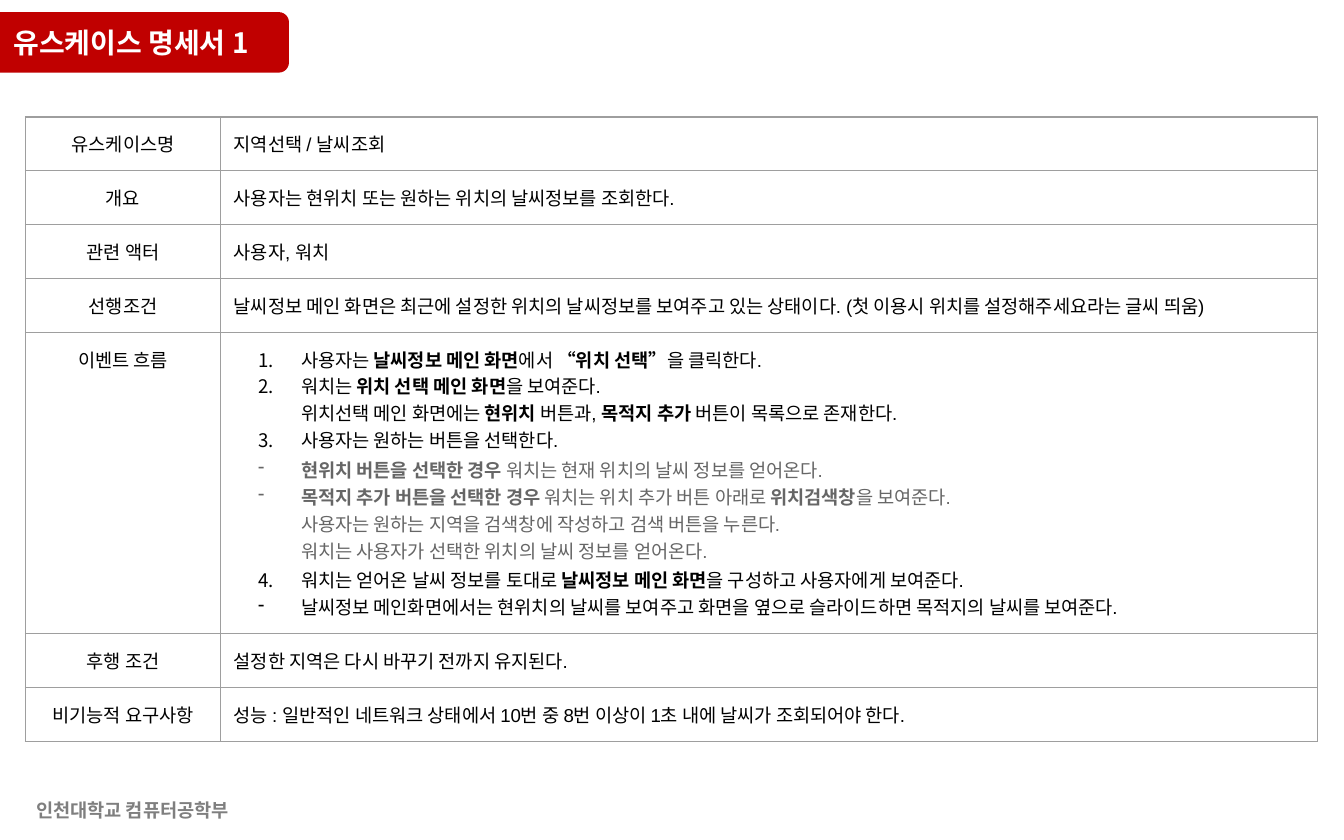
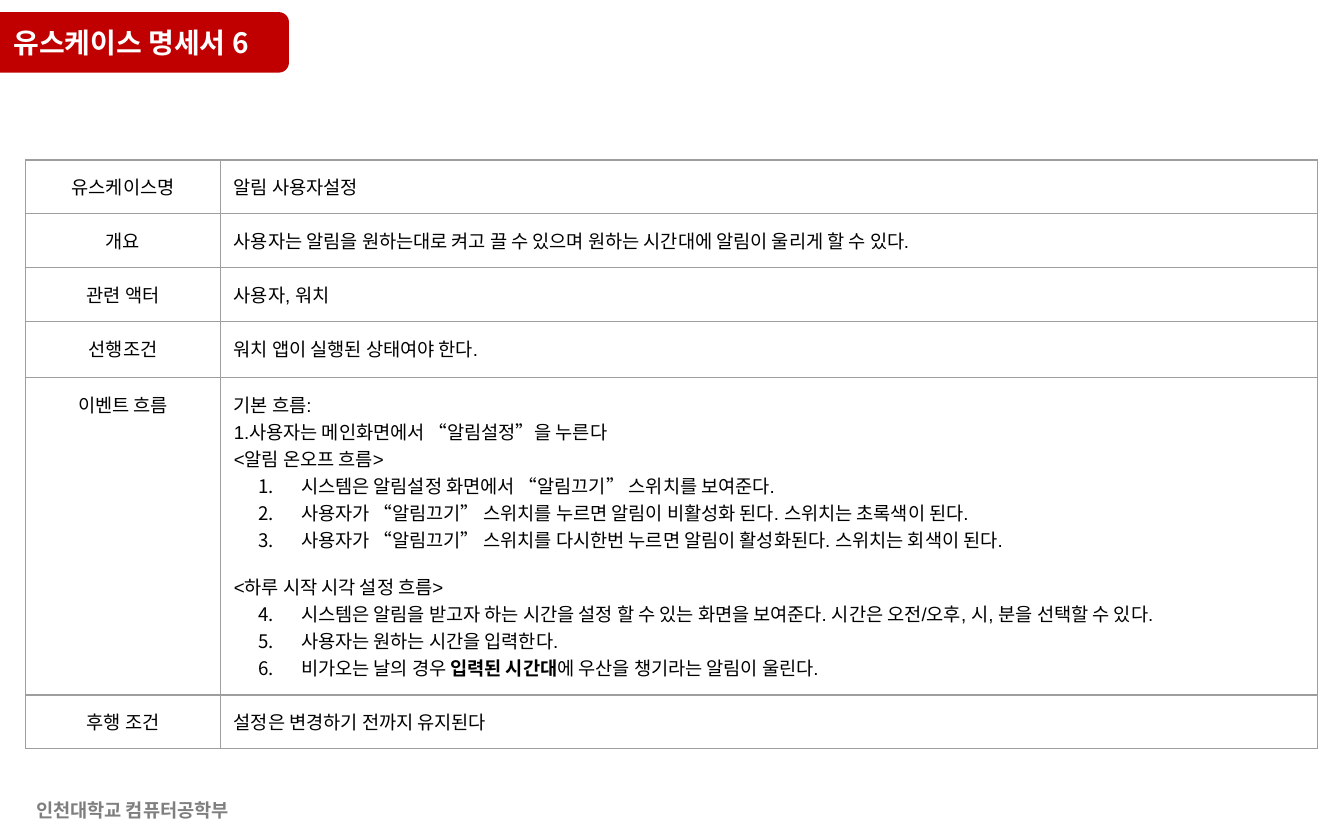
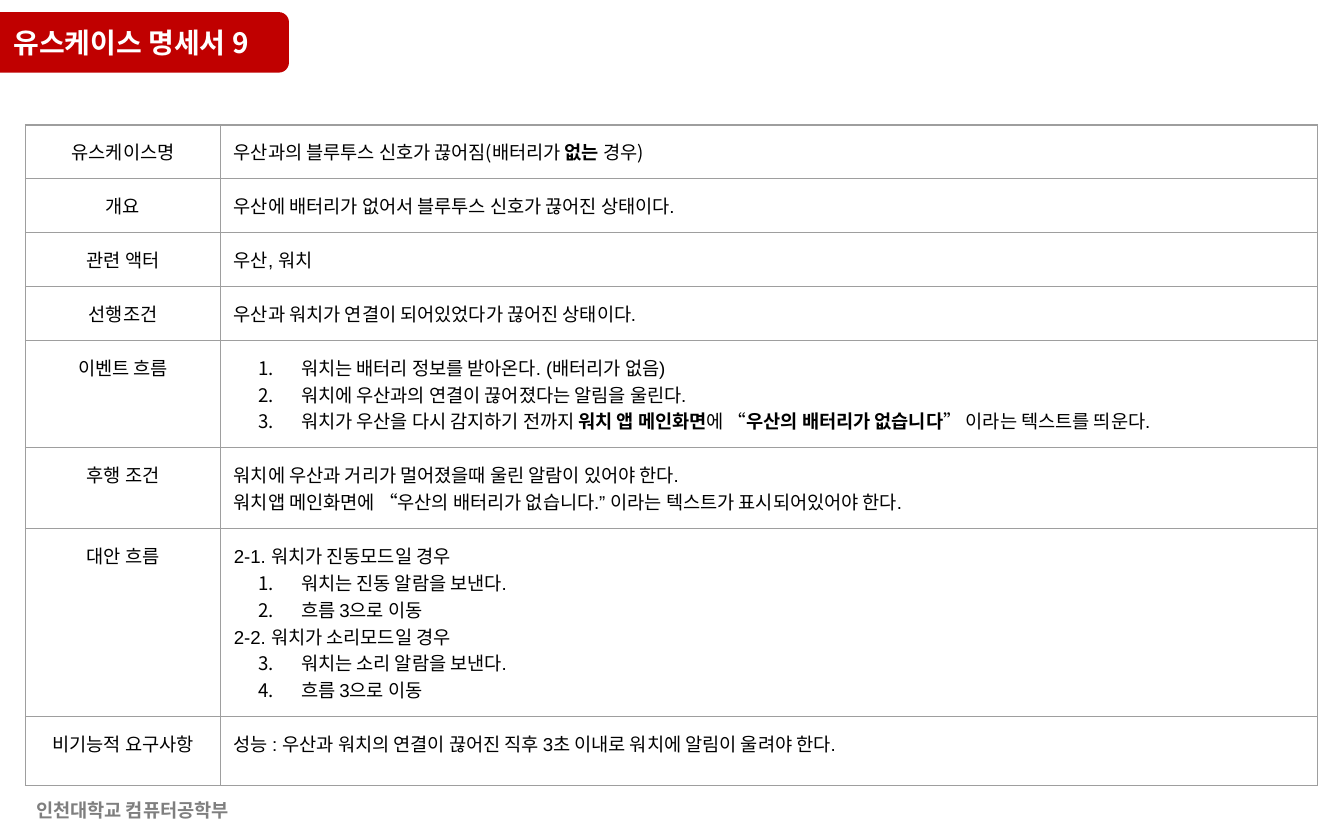
import dataclasses

import pptx
import pptx.dml.color
import pptx.enum.shapes
import pptx.enum.text
import pptx.oxml
import pptx.oxml.ns
import pptx.util

Inches = pptx.util.Inches
Pt = pptx.util.Pt
ALIGN = pptx.enum.text.PP_ALIGN
MIDDLE = pptx.enum.text.MSO_ANCHOR.MIDDLE
NS = pptx.oxml.ns.nsdecls("a")


@dataclasses.dataclass(frozen=True)
class Theme:
    """Colours, fonts and type sizes of the deck."""
    band: str = "C00000"
    title: str = "FFFFFF"
    body: str = "000000"
    muted: str = "666666"
    footer: str = "7F7F7F"
    border: str = "9E9E9E"
    latin: str = "Arial"
    korean: str = "Noto Sans CJK KR"
    title_size: float = 15
    body_size: float = 10
    border_width: float = 0.75


@dataclasses.dataclass(frozen=True)
class Line:
    """One paragraph of a cell; **marks** enclose bold words."""
    text: str
    bullet: str = ""
    start: int = 0
    indent: float = 0
    before: float = 0
    muted: bool = False
    font: str = ""


def step(text, **options):
    """Return an automatically numbered line."""
    return Line(text, bullet="number", indent=0.5, **options)


def dash(text, **options):
    """Return a line led by a dash."""
    return Line(text, bullet="dash", indent=0.5, **options)


def rgb(code):
    """Turn RRGGBB into a colour."""
    return pptx.dml.color.RGBColor.from_string(code)


def write(paragraph, text, *, font, east_asian, size, color, bold=False,
          align=ALIGN.LEFT, before=0):
    """Fill a paragraph, switching weight at each ** mark."""
    paragraph.alignment = align
    if before:
        paragraph.space_before = Pt(before)
    for index, part in enumerate(text.split("**")):
        if not part:
            continue
        run = paragraph.add_run()
        run.text = part
        run.font.name = font
        run.font.size = Pt(size)
        run.font.bold = bold or index % 2 == 1
        run.font.color.rgb = rgb(color)
        run.font._element.append(pptx.oxml.parse_xml(
            f'<a:ea {NS} typeface="{east_asian}"/>'))


def set_bullet(paragraph, line, color):
    """Set the indent and the number or dash of a line."""
    properties = paragraph._p.get_or_add_pPr()
    properties.set("marL", str(Inches(line.indent)))
    properties.set("indent", str(Inches(-0.32 if line.bullet else 0)))
    if not line.bullet:
        return
    start = f' startAt="{line.start}"' if line.start else ""
    mark = {"number": f'<a:buAutoNum {NS} type="arabicPeriod"{start}/>',
            "dash": f'<a:buChar {NS} char="-"/>'}[line.bullet]
    tint = f'<a:buClr {NS}><a:srgbClr val="{color}"/></a:buClr>'
    for xml in (tint, mark):
        properties.append(pptx.oxml.parse_xml(xml))


class Deck:
    """Holds the style and the slide being built."""

    def __init__(self, theme):
        """Start an empty deck."""
        self.theme = theme
        self.presentation = pptx.Presentation()
        self.presentation.slide_width = Inches(10)
        self.presentation.slide_height = Inches(6.25)
        self.slide = None

    def start_slide(self, title):
        """Add a slide with its band, title and footer."""
        layout = self.presentation.slide_layouts[5]
        self.slide = self.presentation.slides.add_slide(layout)
        self.band()
        self.title(title)
        self.footer("인천대학교 컴퓨터공학부")

    def band(self):
        """Draw the red tab behind the title."""
        band = self.slide.shapes.add_shape(
            pptx.enum.shapes.MSO_SHAPE.ROUNDED_RECTANGLE,
            Inches(-0.16), Inches(0.09), Inches(2.31), Inches(0.45))
        band.shadow.inherit = False
        band.fill.solid()
        band.fill.fore_color.rgb = rgb(self.theme.band)
        band.line.fill.background()

    def heading(self, shape, text, place, *, size, color, align):
        """Place a shape and give it bold, vertically centred text."""
        shape.left, shape.top, shape.width, shape.height = map(Inches, place)
        frame = shape.text_frame
        frame.word_wrap = True
        frame.auto_size = pptx.enum.text.MSO_AUTO_SIZE.NONE
        frame.vertical_anchor = MIDDLE
        frame.margin_top = frame.margin_bottom = Inches(0.05)
        write(frame.paragraphs[0], text, font=self.theme.korean,
              east_asian=self.theme.korean, size=size, color=color,
              bold=True, align=align)

    def title(self, text):
        """Move the title placeholder onto the band."""
        title = self.slide.shapes.title
        title._element.getparent().append(title._element)
        self.heading(title, text, (0, 0.09, 2.23, 0.45),
                     size=self.theme.title_size, color=self.theme.title,
                     align=ALIGN.LEFT)

    def footer(self, text):
        """Write the department at the foot of the slide."""
        footer = self.slide.shapes.add_textbox(0, 0, 0, 0)
        self.heading(footer, text, (0, 5.89, 1.97, 0.27),
                     size=self.theme.body_size, color=self.theme.footer,
                     align=ALIGN.CENTER)

    def cell(self, cell, lines, align=ALIGN.LEFT):
        """Write the lines of a cell and draw its borders."""
        theme = self.theme
        cell.margin_left = cell.margin_right = Inches(0.1)
        cell.margin_top = cell.margin_bottom = Inches(0.1)
        cell.fill.background()
        for index, line in enumerate(lines):
            frame = cell.text_frame
            paragraph = frame.add_paragraph() if index else frame.paragraphs[0]
            color = theme.muted if line.muted else theme.body
            write(paragraph, line.text, font=line.font or theme.latin,
                  east_asian=theme.korean, size=theme.body_size,
                  color=color, align=align, before=line.before)
            set_bullet(paragraph, line, color)
        properties = cell._tc.get_or_add_tcPr()
        for position, side in enumerate(("lnL", "lnR", "lnT", "lnB")):
            properties.insert(position, pptx.oxml.parse_xml(
                f'<a:{side} {NS} w="{Pt(theme.border_width)}"><a:solidFill>'
                f'<a:srgbClr val="{theme.border}"/></a:solidFill></a:{side}>'))

    def specification(self, top, rows):
        """Add the use case table from (label, height, lines) rows."""
        total = sum(height for _, height, _ in rows)
        table = self.slide.shapes.add_table(
            len(rows), 2, Inches(0.19), Inches(top),
            Inches(9.61), Inches(total)).table
        table.first_row = table.horz_banding = False
        table.columns[0].width = Inches(1.45)
        table.columns[1].width = Inches(8.16)
        for index, (label, height, lines) in enumerate(rows):
            table.rows[index].height = Inches(height)
            self.cell(table.cell(index, 0), [Line(label)], ALIGN.CENTER)
            self.cell(table.cell(index, 1), lines)


THEME = Theme()
ROW = 0.4
NAME, SUMMARY, ACTORS, BEFORE = "유스케이스명", "개요", "관련 액터", "선행조건"
FLOW, AFTER, ALTERNATIVE = "이벤트 흐름", "후행 조건", "대안 흐름"
QUALITY = "비기능적 요구사항"

WEATHER = [
    (NAME, ROW, [Line("지역선택 / 날씨조회")]),
    (SUMMARY, ROW, [Line("사용자는 현위치 또는 원하는 위치의 날씨정보를 조회한다.")]),
    (ACTORS, ROW, [Line("사용자, 워치")]),
    (BEFORE, ROW, [Line("날씨정보 메인 화면은 최근에 설정한 위치의 날씨정보를 보여주고 있는 "
                        "상태이다. (첫 이용시 위치를 설정해주세요라는 글씨 띄움)")]),
    (FLOW, 2.23, [
        step("사용자는 **날씨정보 메인 화면**에서 **“위치 선택”**을 클릭한다."),
        step("워치는 **위치 선택 메인 화면**을 보여준다."),
        Line("위치선택 메인 화면에는 **현위치** 버튼과, **목적지 추가** 버튼이 "
             "목록으로 존재한다.", indent=0.5),
        step("사용자는 원하는 버튼을 선택한다."),
        dash("**현위치 버튼을 선택한 경우** 워치는 현재 위치의 날씨 정보를 얻어온다.",
             muted=True, before=1.5),
        dash("**목적지 추가 버튼을 선택한 경우** 워치는 위치 추가 버튼 아래로 "
             "**위치검색창**을 보여준다.", muted=True),
        Line("사용자는 원하는 지역을 검색창에 작성하고 검색 버튼을 누른다.",
             indent=0.5, muted=True),
        Line("워치는 사용자가 선택한 위치의 날씨 정보를 얻어온다.",
             indent=0.5, muted=True),
        step("워치는 얻어온 날씨 정보를 토대로 **날씨정보 메인 화면**을 구성하고 "
             "사용자에게 보여준다.", start=4, before=1.5),
        dash("날씨정보 메인화면에서는 현위치의 날씨를 보여주고 화면을 옆으로 "
             "슬라이드하면 목적지의 날씨를 보여준다."),
    ]),
    (AFTER, ROW, [Line("설정한 지역은 다시 바꾸기 전까지 유지된다.")]),
    (QUALITY, ROW, [Line("성능 : 일반적인 네트워크 상태에서 10번 중 8번 이상이 1초 내에 "
                         "날씨가 조회되어야 한다.")]),
]

ALARM = [
    (NAME, ROW, [Line("알림 사용자설정")]),
    (SUMMARY, ROW, [Line("사용자는 알림을 원하는대로 켜고 끌 수 있으며 원하는 시간대에 "
                         "알림이 울리게 할 수 있다.")]),
    (ACTORS, ROW, [Line("사용자, 워치")]),
    (BEFORE, 0.42, [Line("워치 앱이 실행된 상태여야 한다.")]),
    (FLOW, 2.36, [
        Line("기본 흐름:"),
        Line("1.사용자는 메인화면에서 “알림설정”을 누른다"),
        Line("<알림 온오프 흐름>"),
        step("시스템은 알림설정 화면에서 “알림끄기” 스위치를 보여준다."),
        step("사용자가 “알림끄기” 스위치를 누르면 알림이 비활성화 된다. "
             "스위치는 초록색이 된다."),
        step("사용자가 “알림끄기” 스위치를 다시한번 누르면 알림이 활성화된다. "
             "스위치는 회색이 된다."),
        Line("<하루 시작 시각 설정 흐름>", before=11),
        step("시스템은 알림을 받고자 하는 시간을 설정 할 수 있는 화면을 보여준다. "
             "시간은 오전/오후, 시, 분을 선택할 수 있다."),
        step("사용자는 원하는 시간을 입력한다."),
        step("비가오는 날의 경우 **입력된 시간대**에 우산을 챙기라는 알림이 울린다."),
    ]),
    (AFTER, ROW, [Line("설정은 변경하기 전까지 유지된다")]),
]

UMBRELLA = [
    (NAME, ROW, [Line("우산과의 블루투스 신호가 끊어짐(배터리가 **없는** 경우)",
                      font=THEME.korean)]),
    (SUMMARY, ROW, [Line("우산에 배터리가 없어서 블루투스 신호가 끊어진 상태이다.")]),
    (ACTORS, ROW, [Line("우산, 워치")]),
    (BEFORE, ROW, [Line("우산과 워치가 연결이 되어있었다가 끊어진 상태이다.")]),
    (FLOW, 0.8, [
        step("워치는 배터리 정보를 받아온다. (배터리가 없음)"),
        step("워치에 우산과의 연결이 끊어졌다는 알림을 울린다."),
        step("워치가 우산을 다시 감지하기 전까지 **워치 앱 메인화면**에 “**우산의 "
             "배터리가 없습니다**” 이라는 텍스트를 띄운다."),
    ]),
    (AFTER, 0.6, [
        Line("워치에 우산과 거리가 멀어졌을때 울린 알람이 있어야 한다."),
        Line("워치앱 메인화면에 “우산의 배터리가 없습니다.” 이라는 텍스트가 "
             "표시되어있어야 한다."),
    ]),
    (ALTERNATIVE, 1.4, [
        Line("2-1. 워치가 진동모드일 경우"),
        step("워치는 진동 알람을 보낸다."),
        step("흐름 3으로 이동"),
        Line("2-2. 워치가 소리모드일 경우"),
        step("워치는 소리 알람을 보낸다."),
        step("흐름 3으로 이동"),
    ]),
    (QUALITY, 0.51, [Line("성능 : 우산과 워치의 연결이 끊어진 직후 3초 이내로 워치에 "
                          "알림이 울려야 한다.")]),
]


def main():
    """Build the use case slides and save them."""
    deck = Deck(THEME)
    for number, top, rows in ((1, 0.87, WEATHER), (6, 1.19, ALARM),
                              (9, 0.93, UMBRELLA)):
        deck.start_slide(f"유스케이스 명세서 {number}")
        deck.specification(top, rows)
    deck.presentation.save("out.pptx")


main()
